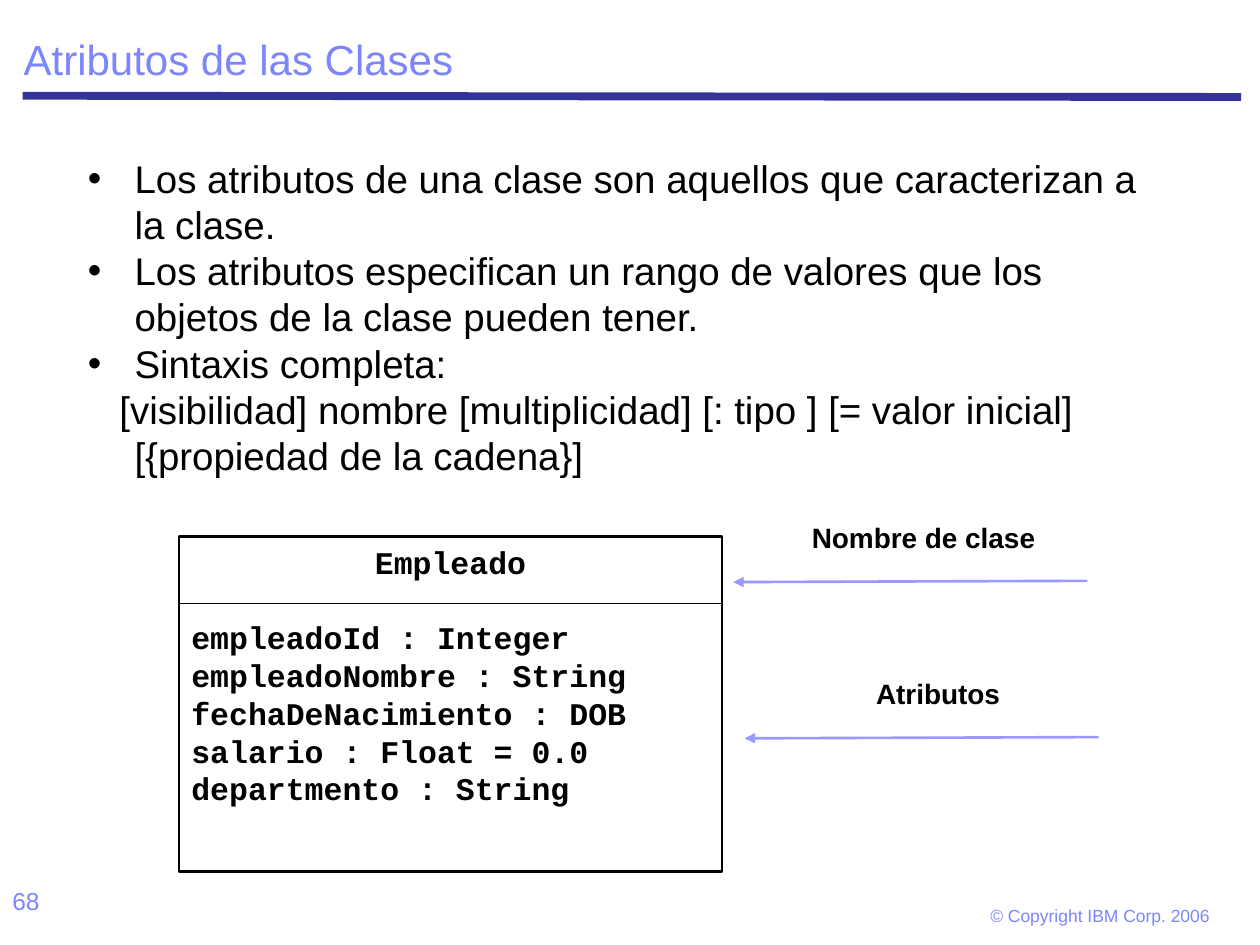
from lxml.etree import SubElement
from pptx import Presentation
from pptx.dml.color import RGBColor
from pptx.enum.shapes import MSO_CONNECTOR, MSO_SHAPE
from pptx.enum.text import MSO_ANCHOR, PP_ALIGN
from pptx.oxml.ns import qn
from pptx.util import Inches, Pt

BLACK, LILAC, ARROW, NAVY = "000000", "7C85FC", "9999FF", "333399"
LEFT, CENTER = PP_ALIGN.LEFT, PP_ALIGN.CENTER

TITLE = "Atributos de las Clases"
BULLETS = [
    "Los atributos de una clase son aquellos que caracterizan a la clase.",
    "Los atributos especifican un rango de valores que los objetos de la clase pueden tener.",
    "Sintaxis completa:",
]
SYNTAX = "[visibilidad] nombre [multiplicidad] [: tipo ] [= valor inicial] [{propiedad de la cadena}]"
CLASS_NAME = "Empleado"
ATTRIBUTES = [
    "empleadoId : Integer",
    "empleadoNombre : String",
    "fechaDeNacimiento : DOB",
    "salario : Float = 0.0",
    "departmento : String",
]
# label, its box, arrow start, arrow tip
CALLOUTS = [
    ("Nombre de clase", (6, 4.08, 2.66, 0.44), (8.63, 4.61), (5.82, 4.62)),
    ("Atributos", (6.64, 5.32, 1.61, 0.56), (8.72, 5.85), (5.91, 5.86)),
]
CLASS_BOX = (1.42, 4.26, 4.31, 2.66)
NAME_HEIGHT = 0.53
HANGING = 0.37
SYNTAX_INDENT = -0.12


def color(value):
    return RGBColor.from_string(value)


def write(frame, lines, size, hue=BLACK, font="Arial", bold=False, align=LEFT,
          anchor=MSO_ANCHOR.TOP, insets=(0.1, 0.05), spacing=None):
    """Fill a text frame, one paragraph a line, and return the paragraphs."""
    frame.word_wrap = True
    frame.vertical_anchor = anchor
    frame.margin_left = frame.margin_right = Inches(insets[0])
    frame.margin_top = frame.margin_bottom = Inches(insets[1])
    for index, line in enumerate(lines):
        paragraph = frame.paragraphs[0] if index == 0 else frame.add_paragraph()
        run = paragraph.add_run()
        run.text = line
        paragraph.alignment = align
        paragraph.line_spacing = spacing
        run.font.color.rgb = color(hue)
        for name, value in dict(name=font, size=Pt(size), bold=bold).items():
            setattr(run.font, name, value)
    return frame.paragraphs


def add_text(slide, box, lines, size, **style):
    shape = slide.shapes.add_textbox(*map(Inches, box))
    return write(shape.text_frame, lines, size, **style)


def add_line(slide, start, end, hue, width, arrow=False):
    line = slide.shapes.add_connector(
        MSO_CONNECTOR.STRAIGHT, *map(Inches, (*start, *end)))
    line.line.color.rgb = color(hue)
    line.line.width = Pt(width)
    if arrow:
        SubElement(line.line._get_or_add_ln(), qn("a:tailEnd"), type="triangle")
    SubElement(line._element.spPr, qn("a:effectLst"))


def hang(paragraph, first_line, bullet=None):
    """Set the hanging indent, with a bullet if one is given."""
    properties = paragraph._p.get_or_add_pPr()
    properties.set("marL", str(Inches(HANGING)))
    properties.set("indent", str(Inches(first_line)))
    if bullet:
        bullet_color = SubElement(properties, qn("a:buClr"))
        SubElement(bullet_color, qn("a:srgbClr"), val=BLACK)
        SubElement(properties, qn("a:buFont"), typeface="Arial")
        SubElement(properties, qn("a:buChar"), char=bullet)


def add_class_diagram(slide):
    left, top, width, _ = CLASS_BOX
    shape = slide.shapes.add_shape(MSO_SHAPE.RECTANGLE, *map(Inches, CLASS_BOX))
    shape.shadow.inherit = False
    shape.fill.background()
    shape.line.color.rgb = color(BLACK)
    shape.line.width = Pt(1.5)
    heading, *_ = write(shape.text_frame, [CLASS_NAME, *ATTRIBUTES], 18,
                        font="Courier New", bold=True)
    heading.alignment = CENTER
    heading.space_after = Pt(21.5)
    divider = top + NAME_HEIGHT
    add_line(slide, (left, divider), (left + width, divider), BLACK, 0.75)
    for label, box, start, tip in CALLOUTS:
        add_text(slide, box, [label], 16, bold=True, align=CENTER)
        add_line(slide, start, tip, ARROW, 1.5, arrow=True)


def main():
    presentation = Presentation()
    presentation.slide_width, presentation.slide_height = Inches(10), Inches(7.5)
    slide = presentation.slides.add_slide(presentation.slide_layouts[6])

    add_line(slide, (0.18, 0.76), (9.85, 0.77), NAVY, 4.5)
    add_text(slide, (7.71, 7.11, 2.04, 0.32), ["© Copyright IBM Corp. 2006"], 10,
             hue=LILAC, insets=(0.15, 0.07))
    add_class_diagram(slide)
    add_text(slide, (0.09, 0.09, 9.8, 0.63), [TITLE], 24, hue=LILAC,
             anchor=MSO_ANCHOR.BOTTOM, spacing=0.9)
    *bulleted, syntax = add_text(slide, (0.6, 1.18, 8.8, 5.38), [*BULLETS, SYNTAX], 22)
    for paragraph in bulleted:
        hang(paragraph, -HANGING, "•")
    hang(syntax, SYNTAX_INDENT)
    add_text(slide, (0, 6.98, 2.33, 0.52), ["68"], 14, hue=LILAC)
    presentation.save("out.pptx")


if __name__ == "__main__":
    main()
